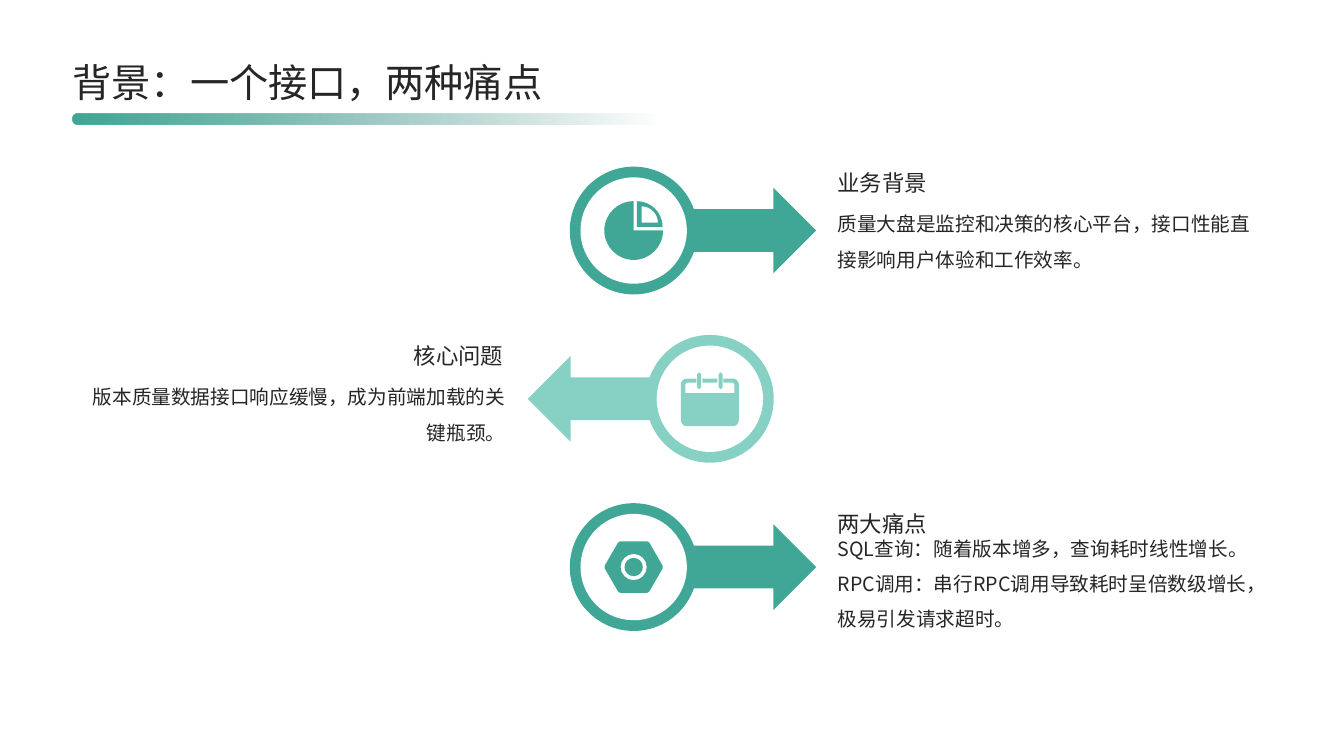
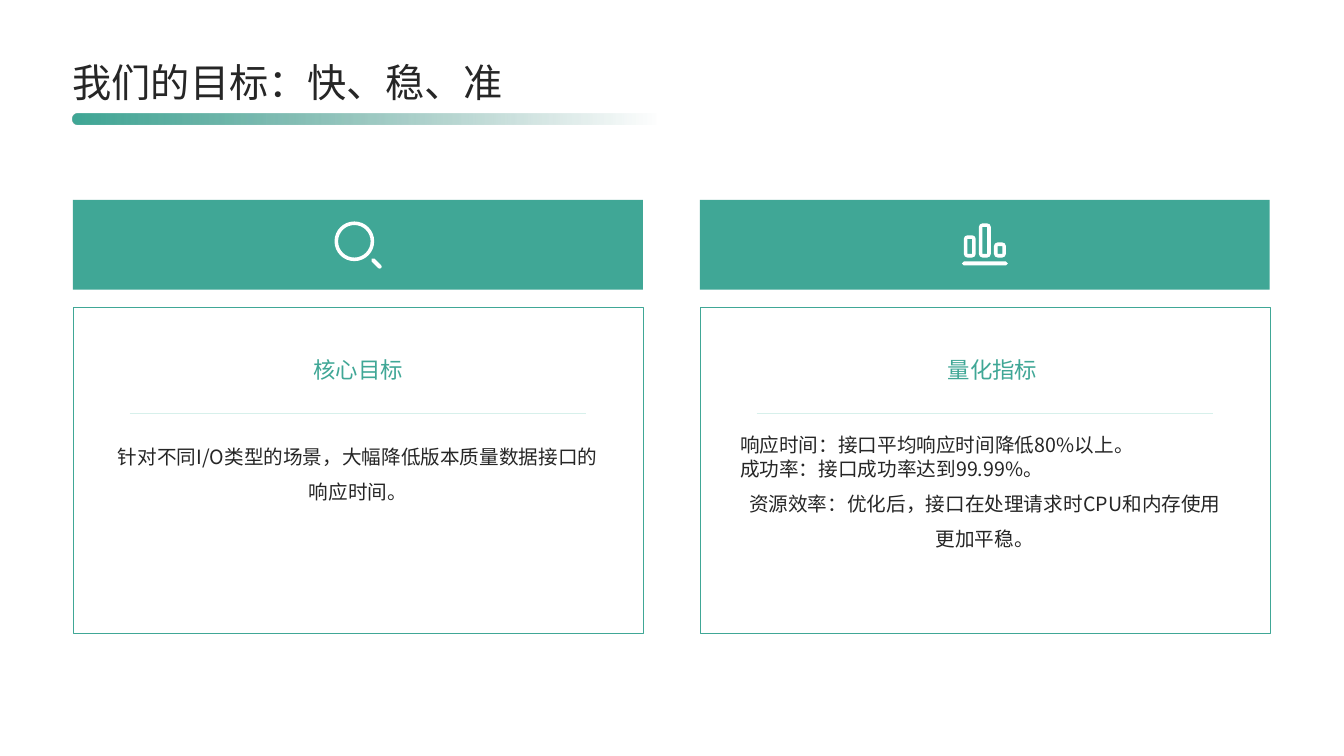
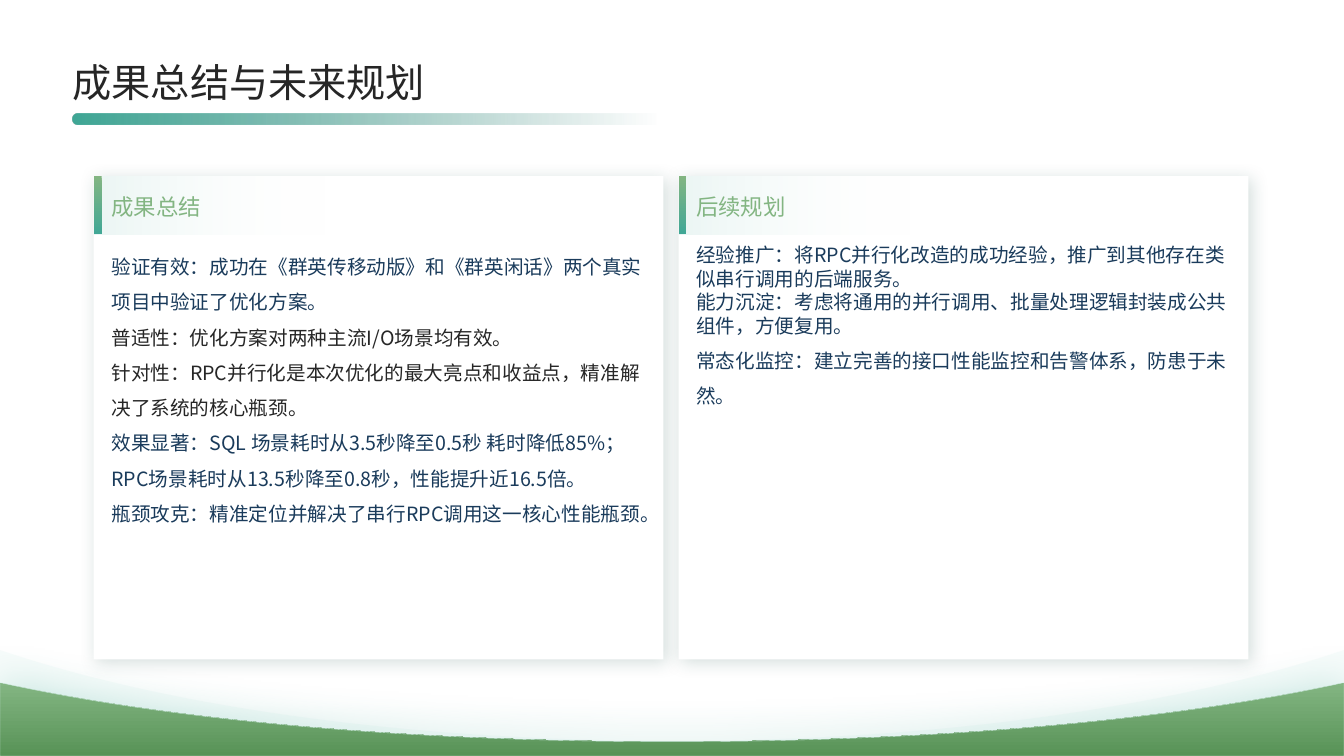
"""Build three slides on the pain points, goals and results of an interface tuning project."""
import dataclasses
import math

import lxml.etree
import pptx
import pptx.dml.color
import pptx.enum.shapes
import pptx.enum.text
import pptx.oxml.ns
import pptx.util

Cm = pptx.util.Cm
Pt = pptx.util.Pt
qn = pptx.oxml.ns.qn
SHAPE = pptx.enum.shapes.MSO_SHAPE
ALIGN = pptx.enum.text.PP_ALIGN
ANCHOR = pptx.enum.text.MSO_ANCHOR


@dataclasses.dataclass(frozen=True)
class Theme:
    """Colours, type sizes and page size of the deck."""
    font: str = "Noto Sans CJK SC"
    ink: str = "262626"
    navy: str = "1A3B5B"
    teal: str = "40A796"
    deep: str = "307D71"
    mint: str = "86D1C4"
    pale: str = "D7F0EB"
    shade: str = "20544B"
    leaf: str = "83B582"
    forest: str = "589357"
    white: str = "FFFFFF"
    title: int = 28
    heading: int = 16
    body: int = 14
    width: float = 33.87
    height: float = 19.05


T = Theme()
TIGHT = dict(ls=1.0, align=ALIGN.LEFT)


def rgb(color):
    """Return a colour object for a hex string."""
    return pptx.dml.color.RGBColor.from_string(color)


def add_color(parent, color, alpha=100):
    """Append a colour with opacity in percent to an XML element."""
    clr = lxml.etree.SubElement(parent, qn("a:srgbClr"), val=color)
    if alpha < 100:
        lxml.etree.SubElement(clr, qn("a:alpha"), val=str(alpha * 1000))


def gradient(fill, el, stops, angle):
    """Give a fill (position, colour, opacity) stops at a clockwise angle."""
    fill.gradient()
    fill.gradient_angle = -angle % 360
    gs_lst = next(el.iter(qn("a:gsLst")))
    for gs in list(gs_lst):
        gs_lst.remove(gs)
    for pos, color, alpha in stops:
        gs = lxml.etree.SubElement(gs_lst, qn("a:gs"), pos=str(pos * 1000))
        add_color(gs, color, alpha)


def style(sp, fill=None, alpha=100, stops=None, angle=0, line=None, shadow=None):
    """Set fill, outline and shadow of a shape."""
    if stops:
        gradient(sp.fill, sp._element.spPr, stops, angle)
    else:
        sp.fill.solid()
        sp.fill.fore_color.rgb = rgb(fill)
        if alpha < 100:
            clr = next(sp._element.spPr.iter(qn("a:srgbClr")))
            lxml.etree.SubElement(clr, qn("a:alpha"), val=str(alpha * 1000))
    if line:
        sp.line.color.rgb = rgb(line)
        sp.line.width = Pt(0.25)
    else:
        sp.line.fill.background()
    sp.shadow.inherit = False
    if shadow:
        color, opacity, blur, dist, direction = shadow
        outer = lxml.etree.SubElement(
            sp._element.spPr.find(qn("a:effectLst")), qn("a:outerShdw"),
            blurRad=str(Pt(blur)), dist=str(Pt(dist)),
            dir=str(direction * 60000), algn="ctr", rotWithShape="0")
        add_color(outer, color, opacity)


def add_shape(s, kind, x, y, w, h, **fmt):
    """Add a styled preset shape."""
    sp = s.shapes.add_shape(kind, Cm(x), Cm(y), Cm(w), Cm(h))
    style(sp, **fmt)
    return sp


def add_outline(shapes, contours, x=0, y=0, **fmt):
    """Add a freeform of closed contours; an item of three points is a Bézier curve."""
    builder = None
    for contour in contours:
        flat = [v for item in contour for v in item]
        pts = [(Cm(x + px), Cm(y + py)) for px, py in zip(flat[::2], flat[1::2])]
        if builder is None:
            builder = shapes.build_freeform(*pts[0], scale=1.0)
        else:
            builder.move_to(*pts[0])
        builder.add_line_segments(pts[1:], close=True)
    sp = builder.convert_to_shape()
    segments = iter(list(sp._element.iter(qn("a:lnTo"))))
    for item in (item for contour in contours for item in contour[1:]):
        seg = next(segments)
        if len(item) == 6:
            seg.tag = qn("a:cubicBezTo")
            for extra in (next(segments), next(segments)):
                seg.append(extra[0])
                extra.getparent().remove(extra)
    style(sp, **fmt)


def write(tf, paras, size=T.body, color=T.ink, align=ALIGN.LEFT, ls=1.5,
          anchor=ANCHOR.TOP, stops=None):
    """Fill a text frame; a paragraph is a string or (string, overrides)."""
    tf.word_wrap = True
    tf.auto_size = pptx.enum.text.MSO_AUTO_SIZE.NONE
    tf.vertical_anchor = anchor
    tf.margin_left = tf.margin_right = tf.margin_top = tf.margin_bottom = 0
    for i, item in enumerate(paras):
        text, own = (item, {}) if isinstance(item, str) else item
        p = tf.add_paragraph() if i else tf.paragraphs[0]
        p.alignment = own.get("align", align)
        p.line_spacing = own.get("ls", ls)
        p.space_before = p.space_after = Pt(0)
        r = p.add_run()
        r.text = text
        r.font.size = Pt(size)
        r.font.name = T.font
        if stops:
            gradient(r.font.fill, r._r, stops, 90)
        else:
            r.font.color.rgb = rgb(own.get("color", color))
        lxml.etree.SubElement(r._r.rPr, qn("a:ea"), typeface=T.font)


def add_text(s, x, y, w, h, *paras, **fmt):
    """Add a text box."""
    write(s.shapes.add_textbox(Cm(x), Cm(y), Cm(w), Cm(h)).text_frame, paras, **fmt)


def add_rule(s, x, y, w):
    """Add a thin horizontal line."""
    c = s.shapes.add_connector(pptx.enum.shapes.MSO_CONNECTOR.STRAIGHT,
                               Cm(x), Cm(y), Cm(x + w), Cm(y))
    c.line.color.rgb = rgb(T.pale)
    c.line.width = Pt(1)
    lxml.etree.SubElement(c._element.spPr, qn("a:effectLst"))


def add_slide(prs, title):
    """Add a slide with its title and the fading bar below."""
    s = prs.slides.add_slide(prs.slide_layouts[5])
    sp = s.shapes.title
    sp.left, sp.top, sp.width, sp.height = Cm(1.83), Cm(1.35), Cm(30.18), Cm(1.3)
    write(sp.text_frame, [title], size=T.title, ls=1.1, anchor=ANCHOR.MIDDLE)
    bar = add_shape(s, SHAPE.ROUNDED_RECTANGLE, 1.83, 2.86, 18.42, 0.28,
                    stops=[(0, T.teal, 100), (80, T.deep, 0)])
    bar.adjustments[0] = 0.5
    return s


def arc(cx, cy, r, start, end):
    """Return an arc as curves, in degrees clockwise from the right."""
    n = math.ceil(abs(end - start) / 90)
    step = math.radians((end - start) / n)
    k = 4 / 3 * math.tan(step / 4)
    items = []
    for i in range(n + 1):
        a = math.radians(start) + i * step
        dx, dy = r * math.cos(a), r * math.sin(a)
        x, y = cx + dx, cy + dy
        if items:
            items.append((*leave, x + k * dy, y - k * dx, x, y))
        else:
            items.append((x, y))
        leave = x - k * dy, y + k * dx
    return items


def circle(cx, cy, r):
    """Return a circle."""
    return arc(cx, cy, r, 0, 360)


def rect(x, y, w, h):
    """Return a rectangle."""
    return [(x, y), (x + w, y), (x + w, y + h), (x, y + h)]


def round_rect(x, y, w, h, r):
    """Return a rectangle with round corners."""
    return (arc(x + r, y + r, r, 180, 270) + arc(x + w - r, y + r, r, 270, 360)
            + arc(x + w - r, y + h - r, r, 0, 90) + arc(x + r, y + h - r, r, 90, 180))


def pie_icon():
    """Return a pie with one quarter set apart."""
    return [arc(0, 0, 0.74, 0, 270) + [(0, 0)],
            arc(0.08, -0.09, 0.65, 270, 360) + [(0.08, -0.09)],
            arc(0.2, -0.2, 0.41, 270, 360) + [(0.2, -0.2)]]


def calendar_icon():
    """Return a calendar page with two rings."""
    frame = ([(-0.34, -0.41), (-0.34, -0.51)]
             + arc(-0.58, -0.36, 0.15, 270, 180) + arc(-0.58, 0.54, 0.15, 180, 90)
             + arc(0.58, 0.54, 0.15, 90, 0) + arc(0.58, -0.36, 0.15, 0, -90)
             + [(0.34, -0.51), (0.34, -0.41)] + arc(0.56, -0.35, 0.06, -90, 0)
             + [(0.62, -0.14), (-0.62, -0.14)] + arc(-0.56, -0.35, 0.06, 180, 270))
    rings = [round_rect(x, -0.67, 0.1, 0.43, 0.05) for x in (-0.32, 0.22)]
    return [frame, rect(-0.19, -0.51, 0.38, 0.1)] + rings


def nut_icon():
    """Return a hexagonal nut with a ring cut out."""
    corners = [(0.68 * math.cos(math.radians(a)), 0.68 * math.sin(math.radians(a)), a)
               for a in range(0, 360, 60)]
    hexagon = [item for x, y, a in corners for item in arc(x, y, 0.06, a - 30, a + 30)]
    return [hexagon, circle(0, 0, 0.33), circle(0, 0, 0.23)]


def magnifier_icon():
    """Return a lens with a handle."""
    handle = arc(0.38, 0.38, 0.05, 135, 315) + arc(0.55, 0.55, 0.05, -45, 135)
    return [circle(-0.09, -0.09, 0.5), circle(-0.09, -0.09, 0.41), handle]


def bars_icon():
    """Return three hollow bars on a base line."""
    contours = [round_rect(-0.58, 0.42, 1.16, 0.1, 0.05)]
    for i, top in enumerate((-0.24, -0.54, -0.06)):
        x, h = -0.53 + 0.38 * i, 0.32 - top
        contours += [round_rect(x, top, 0.3, h, 0.09),
                     rect(x + 0.09, top + 0.09, 0.12, h - 0.18)]
    return contours


def wave(top, shoulder, trough):
    """Return a valley curve across the page, closed along the bottom."""
    w, mid = T.width, T.width / 2
    return [[(0, top), (4.22, shoulder, 10.24, trough, mid, trough),
             (w - 10.24, trough, w - 4.22, shoulder, w, top),
             (w, T.height), (0, T.height)]]


def arrow_row(s, cy, to_right, color, icon, head_at, body_at, head, *body):
    """Add a ringed icon with an arrow pointing at its text."""
    cx, align = (15.97, ALIGN.LEFT) if to_right else (17.89, ALIGN.RIGHT)
    kind, ax = (SHAPE.RIGHT_ARROW, cx + 0.66) if to_right else (SHAPE.LEFT_ARROW, cx - 4.59)
    add_shape(s, kind, ax, cy - 1.08, 3.94, 2.16, fill=color)
    for r, fill in ((1.61, color), (1.34, T.white)):
        add_shape(s, SHAPE.OVAL, cx - r, cy - r, 2 * r, 2 * r, fill=fill)
    add_outline(s.shapes, icon, cx, cy, fill=color)
    add_text(s, *head_at, 10.87, 1.73, head, size=T.heading, ls=1.3,
             align=align, anchor=ANCHOR.BOTTOM)
    add_text(s, *body_at, 10.87, 3.63, *body, align=align)


def goal_card(s, x, head_x, icon, head, *body):
    """Add a band with an icon above a framed card."""
    w = 14.36
    add_shape(s, SHAPE.RECTANGLE, x, 7.73, w, 8.23, fill=T.white, line=T.teal)
    add_shape(s, SHAPE.RECTANGLE, x, 5.04, w, 2.26, fill=T.teal)
    add_outline(s.shapes, icon, x + w / 2, 6.17, fill=T.white)
    add_rule(s, x + 1.43, 10.42, 11.5)
    add_text(s, head_x, 8.18, 12.32, 1.93, head, size=T.heading, color=T.teal,
             align=ALIGN.CENTER, anchor=ANCHOR.MIDDLE)
    add_text(s, x + 1.01, 10.91, 12.34, 4.5, *body, align=ALIGN.CENTER)


def summary_panel(s, x, head, *body):
    """Add a shadowed panel with an accented heading."""
    y, head_h = 4.44, 1.47
    add_shape(s, SHAPE.RECTANGLE, x, y, 14.36, 12.18, fill=T.white,
              shadow=(T.shade, 19, 12, 3, 45))
    add_shape(s, SHAPE.RECTANGLE, x + 0.02, y, 6.1, head_h, angle=180,
              stops=[(0, T.white, 0), (100, T.teal, 11)])
    add_shape(s, SHAPE.RECTANGLE, x, y, 0.2, head_h, angle=90,
              stops=[(0, T.leaf, 100), (100, T.teal, 100)])
    add_text(s, x + 0.45, y, 13.51, head_h, head, size=T.heading, ls=1.1,
             anchor=ANCHOR.MIDDLE, stops=[(0, T.leaf, 100), (93, T.teal, 100)])
    add_text(s, x + 0.45, 6.13, 13.51, 10.03, *body, color=T.navy)


def background_slide(prs):
    """Build the slide on the background."""
    s = add_slide(prs, "背景：一个接口，两种痛点")
    rows = [
        (True, T.teal, pie_icon(), (21.11, 3.2), (21.11, 5.05), "业务背景",
         "质量大盘是监控和决策的核心平台，接口性能直接影响用户体验和工作效率。"),
        (False, T.mint, calendar_icon(), (1.81, 7.57), (1.87, 9.41), "核心问题",
         "版本质量数据接口响应缓慢，成为前端加载的关键瓶颈。"),
        (True, T.teal, nut_icon(), (21.11, 11.81), (21.11, 13.52), "两大痛点",
         ("SQL查询：随着版本增多，查询耗时线性增长。", TIGHT),
         "RPC调用：串行RPC调用导致耗时呈倍数级增长，极易引发请求超时。"),
    ]
    for i, row in enumerate(rows):
        arrow_row(s, 5.81 + 4.24 * i, *row)


def goal_slide(prs):
    """Build the slide on the goals."""
    s = add_slide(prs, "我们的目标：快、稳、准")
    goal_card(s, 1.84, 2.87, magnifier_icon(), "核心目标",
              "针对不同I/O类型的场景，大幅降低版本质量数据接口的响应时间。")
    goal_card(s, 17.64, 18.85, bars_icon(), "量化指标",
              ("响应时间：接口平均响应时间降低80%以上。", TIGHT),
              ("成功率：接口成功率达到99.99%。", TIGHT),
              "资源效率：优化后，接口在处理请求时CPU和内存使用更加平稳。")


def summary_slide(prs):
    """Build the slide on results and plans."""
    s = add_slide(prs, "成果总结与未来规划")
    waves = s.shapes.add_group_shape().shapes
    add_outline(waves, wave(16.38, 17.81, 18.67), fill=T.pale, alpha=18)
    add_outline(waves, wave(17.2, 18.14, 18.69), angle=90, line=T.pale,
                stops=[(0, T.leaf, 100), (100, T.forest, 100)],
                shadow=(T.teal, 26, 29, 3, 270))
    dark = dict(color=T.ink)
    summary_panel(
        s, 2.36, "成果总结",
        "验证有效：成功在《群英传移动版》和《群英闲话》两个真实项目中验证了优化方案。",
        ("普适性：优化方案对两种主流I/O场景均有效。", dark),
        ("针对性：RPC并行化是本次优化的最大亮点和收益点，精准解决了系统的核心瓶颈。", dark),
        "效果显著：SQL 场景耗时从3.5秒降至0.5秒 耗时降低85%；"
        "RPC场景耗时从13.5秒降至0.8秒，性能提升近16.5倍。",
        "瓶颈攻克：精准定位并解决了串行RPC调用这一核心性能瓶颈。")
    summary_panel(
        s, 17.1, "后续规划",
        ("经验推广：将RPC并行化改造的成功经验，推广到其他存在类似串行调用的后端服务。", TIGHT),
        ("能力沉淀：考虑将通用的并行调用、批量处理逻辑封装成公共组件，方便复用。", TIGHT),
        "常态化监控：建立完善的接口性能监控和告警体系，防患于未然。")


def main():
    """Build and save the deck."""
    prs = pptx.Presentation()
    prs.slide_width, prs.slide_height = Cm(T.width), Cm(T.height)
    background_slide(prs)
    goal_slide(prs)
    summary_slide(prs)
    prs.save("out.pptx")


if __name__ == "__main__":
    main()
